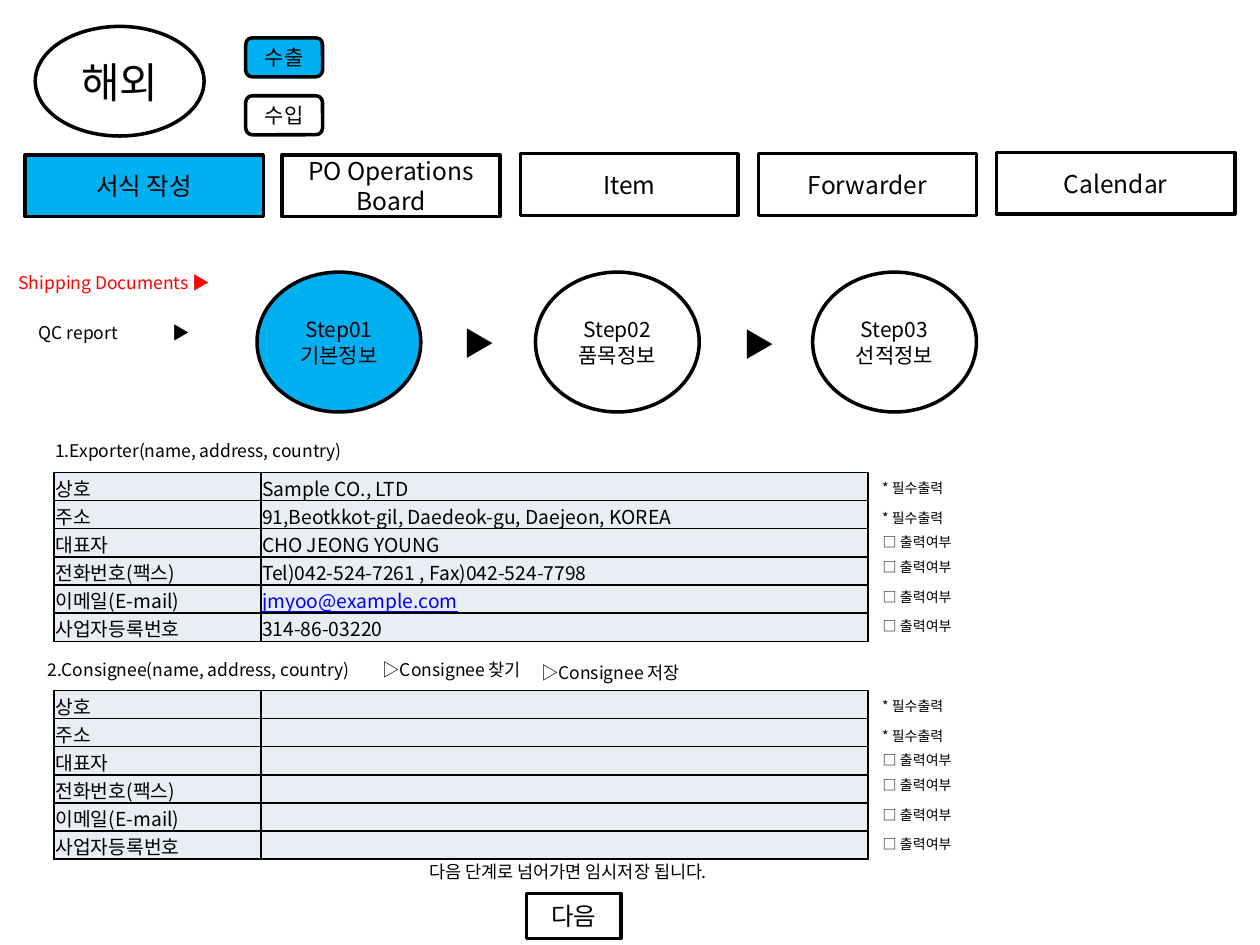
from copy import deepcopy

from lxml.etree import SubElement
from pptx import Presentation
from pptx.dml.color import RGBColor
from pptx.enum.shapes import MSO_SHAPE as Shape
from pptx.enum.text import MSO_ANCHOR as Anchor, MSO_AUTO_SIZE as AutoSize, PP_ALIGN as Align
from pptx.oxml.ns import qn
from pptx.util import Emu, Pt

SCALE = 9144
FONT = "Noto Sans CJK KR"
BLACK, WHITE, RED, BLUE = "000000", "FFFFFF", "FF0000", "0000FF"
ACTIVE, CELL = "00B0F0", "E9EDF4"
LABELS = ["상호", "주소", "대표자", "전화번호(팩스)", "이메일(E-mail)", "사업자등록번호"]
EXPORTER = [
    "Sample CO., LTD",
    "91,Beotkkot-gil, Daedeok-gu, Daejeon, KOREA",
    "CHO JEONG YOUNG",
    "Tel)042-524-7261 , Fax)042-524-7798",
    "jmyoo@example.com",
    "314-86-03220",
]
REQUIRED, OPTIONAL = ("* 필수출력", 87), ("□ 출력여부", 94)
OUTPUT_MARKS = [(0, REQUIRED), (24, REQUIRED), (43, OPTIONAL),
                (63, OPTIONAL), (87, OPTIONAL), (110, OPTIONAL)]


def px(value):
    """Turn pixels into EMU."""
    return Emu(round(value * SCALE))


def rgb(code):
    """Turn a hex string into a colour."""
    return RGBColor.from_string(code)


def write(frame, text, size=10, color=BLACK, align=Align.CENTER, underline=None):
    """Write one formatted paragraph, with a line break at each newline."""
    para = frame.paragraphs[0]
    para.alignment = align
    for index, line in enumerate(text.split("\n")):
        if index:
            para.add_line_break()
        span = para.add_run()
        span.text = line
        span.font.size = Pt(size)
        span.font.color.rgb = rgb(color)
        span.font.underline = underline
        span.font.name = FONT
        props = span.font._element
        SubElement(props, qn("a:ea"), typeface=FONT)
        for line_break in para._p.findall(qn("a:br")):
            if not len(line_break):
                line_break.append(deepcopy(props))
    return para


def add_box(page, kind, bounds, text, size, fill=WHITE):
    """Add an outlined shape with centred text."""
    box = page.shapes.add_shape(kind, *map(px, bounds))
    box.shadow.inherit = False
    if fill:
        box.fill.solid()
        box.fill.fore_color.rgb = rgb(fill)
    else:
        box.fill.background()
    box.line.color.rgb = rgb(BLACK)
    box.line.width = Pt(2)
    box.text_frame.word_wrap = True
    box.text_frame.vertical_anchor = Anchor.MIDDLE
    write(box.text_frame, text, size)


def add_label(page, bounds, text, **style):
    """Add a wrapping text box centred vertically."""
    box = page.shapes.add_textbox(*map(px, bounds))
    box.text_frame.word_wrap = True
    box.text_frame.vertical_anchor = Anchor.MIDDLE
    return box.text_frame, write(box.text_frame, text, **style)


def add_tabbed_label(page, bounds, text, inset, stop):
    """Add a left-aligned label whose second part starts at a tab stop."""
    frame, para = add_label(page, bounds, text, align=Align.LEFT)
    frame.margin_left = px(inset)
    stops = SubElement(para._p.get_or_add_pPr(), qn("a:tabLst"))
    SubElement(stops, qn("a:tab"), pos=str(px(stop)), algn="l")


def add_arrow(page, left, top):
    """Add an arrow sign between two steps."""
    box = page.shapes.add_textbox(*map(px, (left, top, 45, 40)))
    box.text_frame.word_wrap = False
    box.text_frame.auto_size = AutoSize.SHAPE_TO_FIT_TEXT
    write(box.text_frame, "▶", size=18)


def format_cell(cell, text):
    """Give a cell its borders, fill, margins and text."""
    props = cell._tc.get_or_add_tcPr()
    for side in ("lnL", "lnR", "lnT", "lnB"):
        border = SubElement(props, qn(f"a:{side}"), w=str(Pt(1)))
        SubElement(SubElement(border, qn("a:solidFill")), qn("a:srgbClr"), val=BLACK)
    cell.fill.solid()
    cell.fill.fore_color.rgb = rgb(CELL)
    cell.vertical_anchor = Anchor.MIDDLE
    cell.margin_left = cell.margin_right = cell.margin_top = px(1)
    cell.margin_bottom = 0
    if text:
        link = "@" in text
        write(cell.text_frame, text, size=11, color=BLUE if link else BLACK,
              align=Align.LEFT, underline=link or None)
    else:
        SubElement(cell.text_frame.paragraphs[0]._p, qn("a:endParaRPr"), sz="1100")


def add_form(page, top, values):
    """Add a party table and the output marks beside its rows."""
    table = page.shapes.add_table(len(LABELS), 2, *map(px, (43, top, 646, 134))).table
    table.first_row = table.horz_banding = False
    for column, width in zip(table.columns, (164, 482)):
        column.width = px(width)
    for row, texts in zip(table.rows, zip(LABELS, values)):
        for cell, text in zip(row.cells, texts):
            format_cell(cell, text)
    for offset, (text, width) in OUTPUT_MARKS:
        add_label(page, (681, top + offset, width, 24), text, size=8)


def main():
    """Build the export document entry slide."""
    deck = Presentation()
    deck.slide_width, deck.slide_height = px(1000), px(750)
    page = deck.slides.add_slide(deck.slide_layouts[6])

    add_box(page, Shape.OVAL, (28, 21, 134, 87), "해외", 24)
    for top, text, fill in ((30, "수출", ACTIVE), (76, "수입", WHITE)):
        add_box(page, Shape.ROUNDED_RECTANGLE, (195, top, 61, 31), text, 12, fill)

    menu = [
        (20, 123, 189, "서식 작성", ACTIVE),
        (224, 123, 173, "PO Operations Board", None),
        (413, 122, 173, "Item", WHITE),
        (602, 122, 173, "Forwarder", WHITE),
        (791, 121, 189, "Calendar", WHITE),
    ]
    for left, top, width, text, fill in menu:
        add_box(page, Shape.RECTANGLE, (left, top, width, 49), text, 14, fill)

    add_label(page, (-12, 200, 205, 49), "Shipping Documents ▶", color=RED)
    add_tabbed_label(page, (-35, 239, 256, 49), "QC report\t▶", inset=66, stop=106)

    steps = [
        (204, "Step01\n기본정보", ACTIVE),
        (425, "Step02\n품목정보", WHITE),
        (645, "Step03\n선적정보", WHITE),
    ]
    for left, text, fill in steps:
        add_box(page, Shape.OVAL, (left, 216, 130, 111), text, 12, fill)
    add_arrow(page, 358, 252)
    add_arrow(page, 580, 253)

    add_label(page, (4, 333, 307, 49), "1.Exporter(name, address, country)")
    add_form(page, 375, EXPORTER)
    add_label(page, (4, 507, 307, 49), "2.Consignee(name, address, country)")
    add_label(page, (272, 507, 173, 49), "▷Consignee 찾기")
    add_label(page, (398, 509, 173, 49), "▷Consignee 저장")
    add_form(page, 548, [""] * len(LABELS))

    add_label(page, (269, 667, 364, 49), "다음 단계로 넘어가면 임시저장 됩니다.")
    add_box(page, Shape.RECTANGLE, (418, 709, 75, 36), "다음", 14, None)
    deck.save("out.pptx")


if __name__ == "__main__":
    main()
